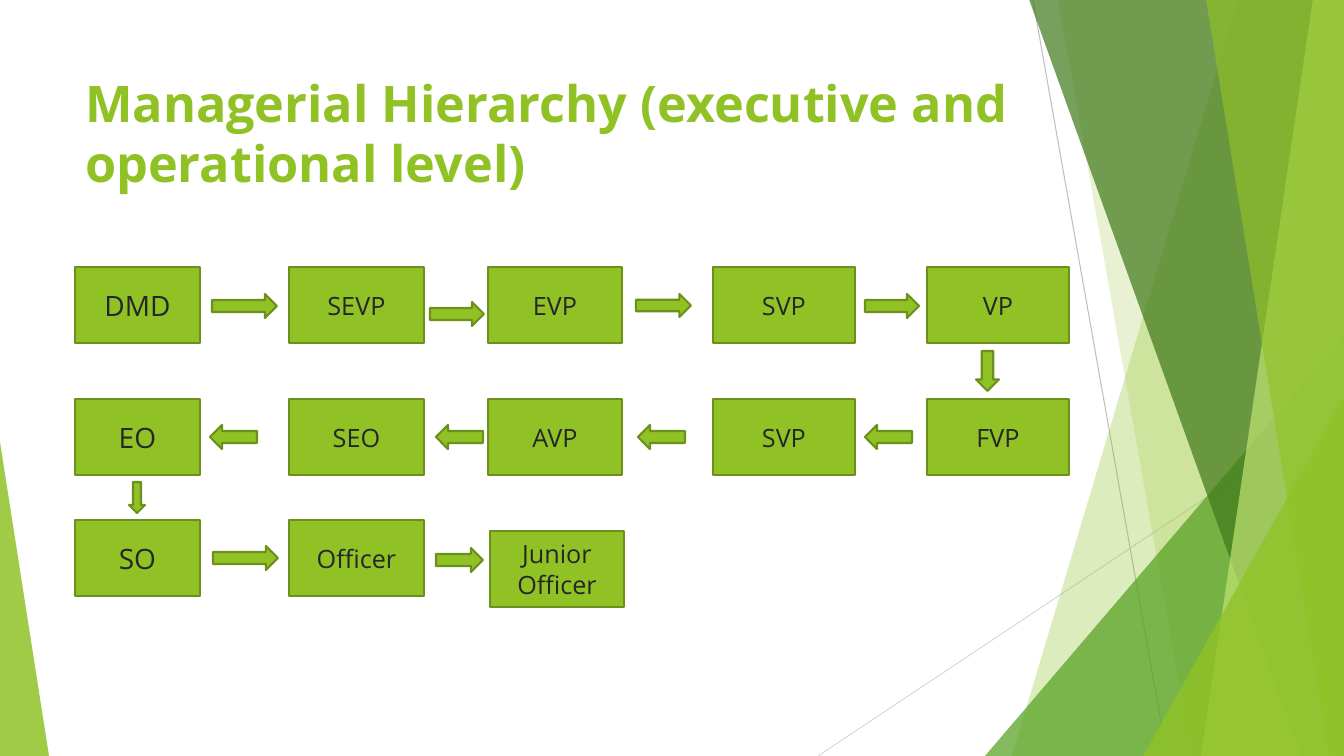
from pptx import Presentation, util as u
from pptx.dml.color import RGBColor
from pptx.enum import shapes, text
from pptx.oxml import parse_xml
from pptx.oxml.ns import nsdecls

PX = 914400 / 100.8
LIME = RGBColor(0x90, 0xC2, 0x26)
EDGE = RGBColor(0x6B, 0x90, 0x1C)
GREEN = RGBColor(0x54, 0xA0, 0x21)
DARK = RGBColor(0x3F, 0x78, 0x19)
PALE = RGBColor(0xC0, 0xE4, 0x74)
GRAY = RGBColor(0xBF, 0xBF, 0xBF)
SILVER = RGBColor(0xD9, 0xD9, 0xD9)
INK = RGBColor(0x26, 0x26, 0x26)
KIND = shapes.MSO_SHAPE
W, H = 1344, 756


def px(*vals):
    return [u.Emu(round(v * PX)) for v in vals]


def paint(shape, color, alpha=None):
    shape.shadow.inherit = False
    shape.fill.solid()
    shape.fill.fore_color.rgb = color
    if alpha is None:
        shape.line.color.rgb = EDGE
        shape.line.width = u.Pt(1.5)
    else:
        shape.line.fill.background()
        tint = shape._element.spPr.find(".//{*}srgbClr")
        tint.append(parse_xml(f'<a:alpha {nsdecls("a")} val="{alpha * 1000}"/>'))


prs = Presentation()
prs.slide_width, prs.slide_height = px(W, H)
slide = prs.slides.add_slide(prs.slide_layouts[5])
draw = slide.shapes

# Thin background lines
for ends, color in [((1033, 0, 1167, H), GRAY), ((W, 406, 818, H), SILVER)]:
    line = draw.add_connector(shapes.MSO_CONNECTOR.STRAIGHT, *px(*ends))
    line.line.color.rgb = color
    line.line.width = u.Pt(0.75)
    line._element.spPr.append(parse_xml(f'<a:effectLst {nsdecls("a")}/>'))

# Facets: slanted panels by top and bottom x, triangles by box and apex
facets = [
    ((1238, 1012), LIME, 30),
    ((1058, 1192), LIME, 20),
    ((985, 336, 359, 420, 1), GREEN, 72),
    ((1029, 1301), DARK, 70),
    ((1313, 1201), PALE, 70),
    ((1206, 1329), LIME, 65),
    ((1143, 396, 201, 360, 1), LIME, 80),
    ((0, 442, 49, 314, 0), LIME, 85),
]
for geo, color, alpha in facets:
    if len(geo) == 2:
        top, foot = geo
        path = draw.build_freeform(top, -1, scale=PX)
        path.add_line_segments([(W, -1), (W, H), (foot, H)], close=True)
        facet = path.convert_to_shape()
    else:
        facet = draw.add_shape(KIND.ISOSCELES_TRIANGLE, *px(*geo[:4]))
        facet.adjustments[0] = geo[4]
    paint(facet, color, alpha)

# Title
title = draw.title
title.left, title.top, title.width, title.height = px(75, 67, 948, 146)
frame = title.text_frame
frame.text = "Managerial Hierarchy (executive and operational level)"
for key, val in {"word_wrap": True, "auto_size": text.MSO_AUTO_SIZE.NONE,
                 "vertical_anchor": text.MSO_ANCHOR.TOP}.items():
    setattr(frame, key, val)
para = frame.paragraphs[0]
para.alignment = text.PP_ALIGN.LEFT
for key, val in {"name": "Open Sans", "size": u.Pt(36), "bold": True}.items():
    setattr(para.font, key, val)
para.font.color.rgb = LIME

# Rank boxes
cols = [(75, 125), (289, 135), (488, 134), (713, 142), (927, 142)]
rows = [
    (267, ["DMD", "SEVP", "EVP", "SVP", "VP"]),
    (399, ["EO", "SEO", "AVP", "SVP", "FVP"]),
    (520, ["SO", "Officer", "Junior\nOfficer"]),
]
for top, ranks in rows:
    for (left, wide), rank in zip(cols, ranks):
        dx, dy = (2, 11) if "\n" in rank else (0, 0)
        box = draw.add_shape(KIND.RECTANGLE, *px(left + dx, top + dy, wide, 76))
        paint(box, LIME)
        box.text_frame.text = rank
        box.text_frame.vertical_anchor = text.MSO_ANCHOR.MIDDLE
        for para in box.text_frame.paragraphs:
            para.alignment = text.PP_ALIGN.CENTER
            para.font.name = "Open Sans"
            para.font.size = u.Pt(20 if left == cols[0][0] else 18)
            para.font.color.rgb = INK

# Arrows along the chain
arrows = {
    KIND.RIGHT_ARROW: [(212, 294, 65, 24), (430, 302, 54, 24), (636, 294, 55, 23),
                       (865, 294, 54, 24), (213, 546, 65, 24), (436, 548, 47, 24)],
    KIND.LEFT_ARROW: [(x, 425, 47, 24) for x in (865, 638, 436, 210)],
    KIND.DOWN_ARROW: [(976, 351, 23, 40), (129, 482, 16, 31)],
}
for kind, spots in arrows.items():
    for spot in spots:
        paint(draw.add_shape(kind, *px(*spot)), LIME)

prs.save("out.pptx")
